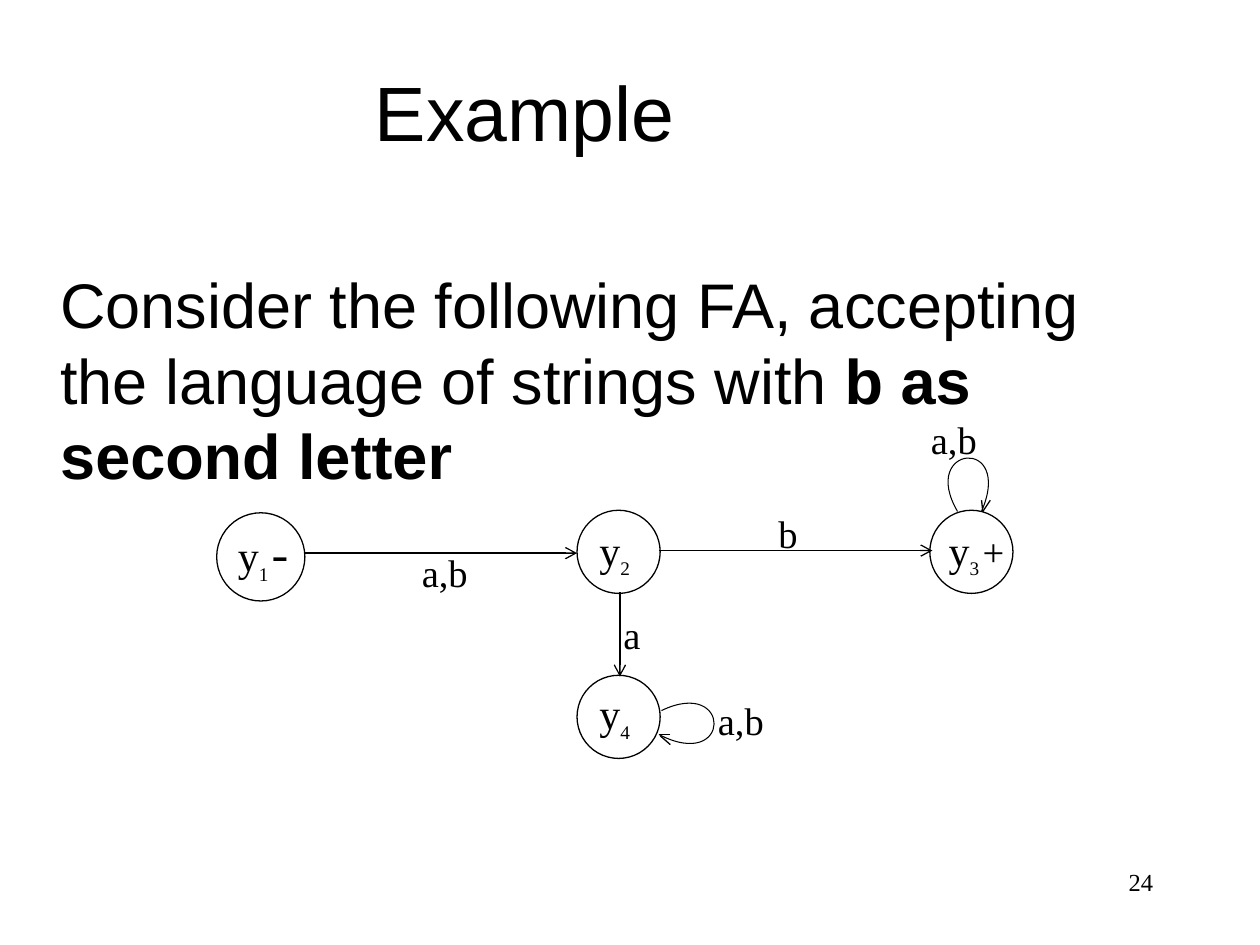
"""Build a slide showing a four-state finite automaton."""
from lxml.etree import SubElement
from pptx import Presentation
from pptx.dml.color import RGBColor
from pptx.enum.shapes import MSO_CONNECTOR as CONN, MSO_SHAPE as SHAPE
from pptx.enum.text import MSO_ANCHOR as ANCHOR, PP_ALIGN as ALIGN
from pptx.oxml.ns import qn
from pptx.util import Inches, Pt

COLORS = {"ink": "000000", "paper": "FFFFFF"}
SANS, SERIF, SIGN = "Arial", "Times New Roman", "Cabin"

TITLE = "Example "
BODY = [
    ("Consider the following FA, accepting the language of strings with ", False),
    ("b as second letter", True),
]
PAGE = "24"

STATES = [
    {"at": (1.72, 4.07), "size": 0.7, "label": (1.79, 4.15), "index": "1", "sign": ("-", 24, SIGN)},
    {"at": (4.58, 4.05), "size": 0.66, "label": (4.66, 4.11), "index": "2", "sign": None},
    {"at": (7.38, 4.05), "size": 0.66, "label": (7.43, 4.11), "index": "3", "sign": ("+", 22, SERIF)},
    {"at": (4.58, 5.36), "size": 0.66, "label": (4.66, 5.41), "index": "4", "sign": None},
]
EDGES = [
    ((2.42, 4.39), (4.58, 4.39)),
    ((5.23, 4.37), (7.4, 4.37)),
    ((4.92, 4.7), (4.92, 5.37)),
]
LOOPS = [
    {
        "curve": [(7.6, 4.06), (7.29, 3.53), (8.05, 3.46), (7.79, 4.06)],
        "barbs": [[(7.8, 4.06), (7.86, 3.97)], [(7.79, 3.97), (7.8, 4.06)]],
    },
    {
        "curve": [(5.25, 5.64), (5.81, 5.37), (5.81, 6.13), (5.23, 5.83)],
        "barbs": [[(5.24, 5.84), (5.32, 5.91)], [(5.32, 5.83), (5.23, 5.83)]],
    },
]
EDGE_LABELS = [
    ("a,b", 7.29, 3.25),
    ("b", 6.08, 4),
    ("a,b", 3.25, 4.31),
    ("a,b", 5.6, 5.48),
    ("a", 4.85, 4.8),
]


def rgb(name):
    return RGBColor.from_string(COLORS[name])


def add_text(s, box, runs, align=ALIGN.LEFT, anchor=ANCHOR.TOP):
    tf = s.shapes.add_textbox(*map(Inches, box)).text_frame
    tf.word_wrap = True
    tf.vertical_anchor = anchor
    p = tf.paragraphs[0]
    p.alignment = align
    for text, size, font, bold, baseline in runs:
        r = p.add_run()
        r.text = text
        r.font.size, r.font.name, r.font.bold = Pt(size), font, bold
        r.font.color.rgb = rgb("ink")
        if baseline:
            r._r.get_or_add_rPr().set("baseline", str(baseline * 1000))
    return p


def set_line(sp, width=0.75):
    sp.line.color.rgb = rgb("ink")
    sp.line.width = Pt(width)


def add_state(s, state):
    size = state["size"]
    sp = s.shapes.add_shape(SHAPE.OVAL, *map(Inches, (*state["at"], size, size)))
    sp.shadow.inherit = False
    sp.fill.solid()
    sp.fill.fore_color.rgb = rgb("paper")
    set_line(sp)
    runs = [("y", 24, SERIF, False, 0), (state["index"], 19, SERIF, False, -30)]
    if state["sign"]:
        runs += [(" ", 13, SERIF, False, -30), (*state["sign"], False, 0)]
    add_text(s, (*state["label"], 0.8, 0.46), runs)


def add_edge(s, start, end):
    line = s.shapes.add_connector(CONN.STRAIGHT, *map(Inches, (*start, *end)))
    set_line(line)
    SubElement(line.line._get_or_add_ln(), qn("a:tailEnd"), type="arrow")
    SubElement(line._element.spPr, qn("a:effectLst"))


def add_stroke(s, points, width=0.75):
    start, *rest = [tuple(map(Inches, point)) for point in points]
    builder = s.shapes.build_freeform(*start)
    builder.add_line_segments(rest, close=False)
    sp = builder.convert_to_shape()
    sp.shadow.inherit = False
    sp.fill.background()
    set_line(sp, width)
    return sp


def add_loop(s, loop):
    sp = add_stroke(s, loop["curve"], 0.6)
    outline = next(sp._element.iter(qn("a:path")))
    segments = outline.findall(qn("a:lnTo"))
    curve = SubElement(outline, qn("a:cubicBezTo"))
    for segment in segments:
        curve.append(segment[0])
        outline.remove(segment)
    for barb in loop["barbs"]:
        add_stroke(s, barb)


def main():
    prs = Presentation()
    prs.slide_width, prs.slide_height = Inches(10), Inches(7.5)
    s = prs.slides.add_slide(prs.slide_layouts[6])

    add_text(s, (7.17, 6.83, 2.08, 0.5), [(PAGE, 14, SERIF, False, 0)], ALIGN.RIGHT)
    add_text(s, (0, 0.25, 8.5, 1.25), [(TITLE, 44, SANS, False, 0)], ALIGN.CENTER, ANCHOR.MIDDLE)
    p = add_text(s, (0, 2.06, 8.94, 4.56), [(text, 36, SANS, bold, 0) for text, bold in BODY])
    p.line_spacing = Pt(43.2)
    p._p.get_or_add_pPr().set("marL", str(Inches(0.38)))

    for state in STATES:
        add_state(s, state)
    for start, end in EDGES:
        add_edge(s, start, end)
    for loop in LOOPS:
        add_loop(s, loop)
    for text, left, top in EDGE_LABELS:
        add_text(s, (left, top, 1, 0.41), [(text, 22, SERIF, False, 0)])

    prs.save("out.pptx")


if __name__ == "__main__":
    main()
